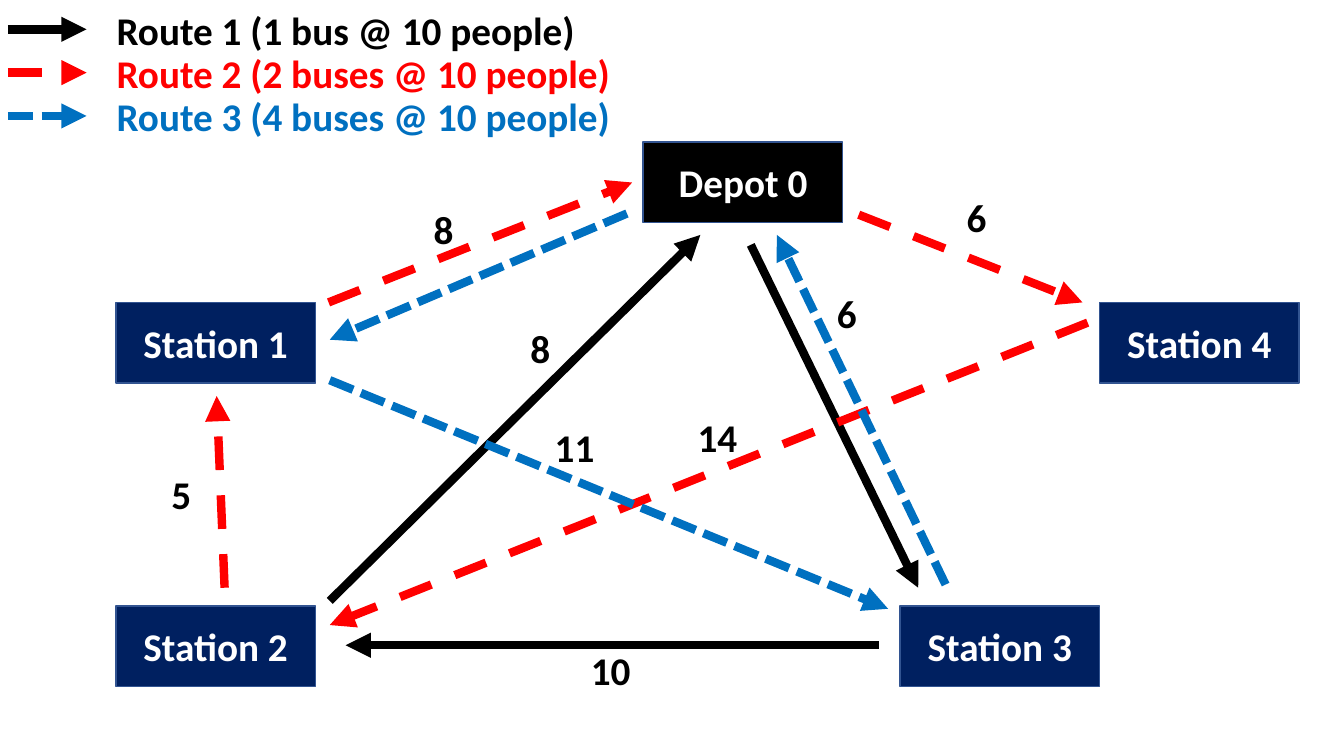
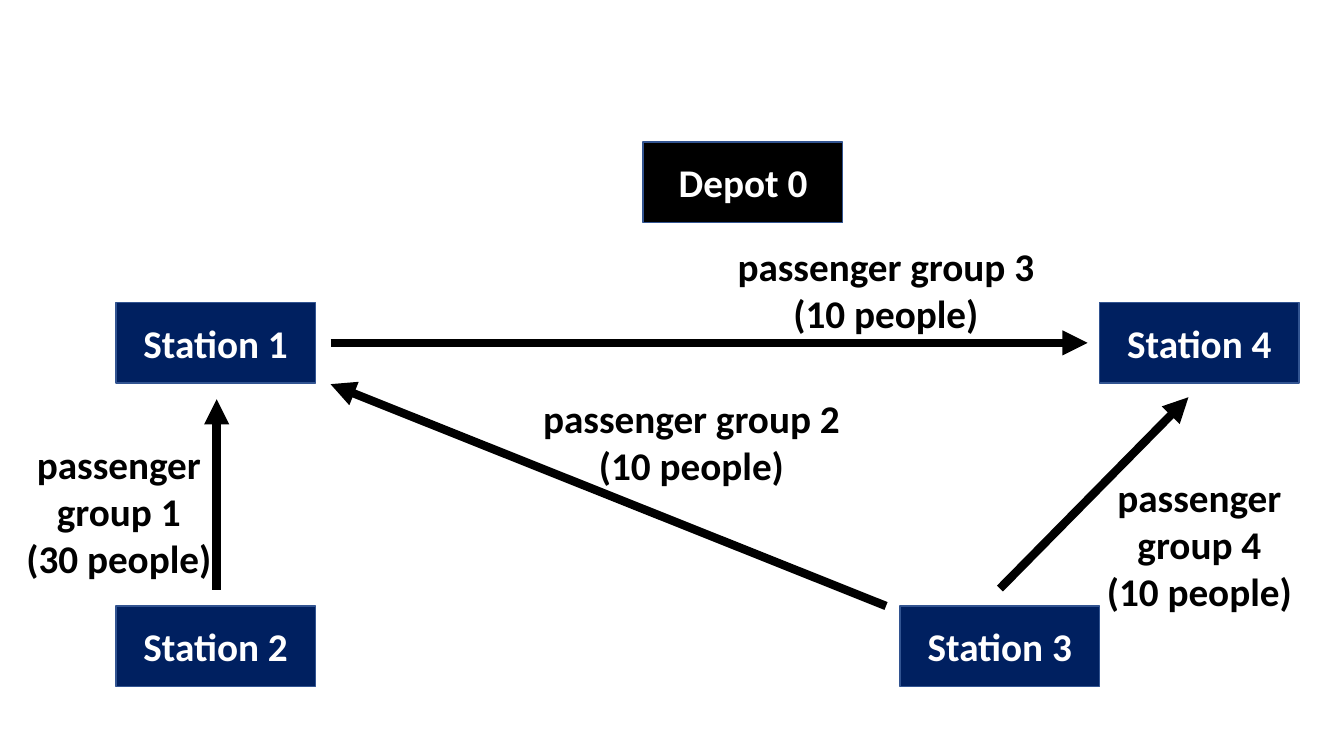
from dataclasses import dataclass
from typing import NamedTuple

from pptx import Presentation
from pptx.dml.color import RGBColor
from pptx.enum.dml import MSO_LINE
from pptx.enum.shapes import MSO_CONNECTOR, MSO_SHAPE
from pptx.enum.text import MSO_ANCHOR, MSO_AUTO_SIZE, PP_ALIGN
from pptx.oxml.ns import qn
from pptx.slide import Slide
from pptx.text.text import TextFrame
from pptx.util import Cm, Pt
from lxml.etree import SubElement


@dataclass(frozen=True)
class Theme:
    black: RGBColor = RGBColor(0x00, 0x00, 0x00)
    white: RGBColor = RGBColor(0xFF, 0xFF, 0xFF)
    red: RGBColor = RGBColor(0xFF, 0x00, 0x00)
    blue: RGBColor = RGBColor(0x00, 0x70, 0xC0)
    navy: RGBColor = RGBColor(0x00, 0x20, 0x60)
    border: RGBColor = RGBColor(0x32, 0x54, 0x91)
    font: str = "Calibri"
    text_size: Pt = Pt(28)
    border_width: Pt = Pt(1)
    arrow_width: Pt = Pt(6)


class Node(NamedTuple):
    name: str
    left: float
    top: float
    fill: RGBColor


class Route(NamedTuple):
    name: str
    color: RGBColor
    dash: MSO_LINE | None = None


class Leg(NamedTuple):
    route: Route
    x1: float
    y1: float
    x2: float
    y2: float


class Label(NamedTuple):
    text: str
    left: float
    top: float
    width: float
    height: float


THEME = Theme()
NODE_WIDTH, NODE_HEIGHT = 5.03, 2.03
LINE_HEIGHT = 1.45
LEGEND_STEP = 1.09

NODES = [
    Node("Station 1", 2.92, 7.62, THEME.navy),
    Node("Station 2", 2.92, 15.27, THEME.navy),
    Node("Depot 0", 16.21, 3.58, THEME.black),
    Node("Station 4", 27.71, 7.62, THEME.navy),
    Node("Station 3", 22.68, 15.27, THEME.navy),
]

ROUTE_1 = Route("Route 1 (1 bus @ 10 people)", THEME.black)
ROUTE_2 = Route("Route 2 (2 buses @ 10 people)", THEME.red, MSO_LINE.DASH)
ROUTE_3 = Route("Route 3 (4 buses @ 10 people)", THEME.blue, MSO_LINE.SQUARE_DOT)
PASSENGERS = Route("Passengers", THEME.black)

BUS_LEGS = [
    Leg(ROUTE_2, 21.64, 5.41, 27.28, 7.62),
    Leg(ROUTE_1, 18.92, 6.17, 23.14, 14.81),
    Leg(ROUTE_3, 15.8, 5.38, 8.31, 8.56),
    Leg(ROUTE_1, 22.15, 16.26, 8.71, 16.26),
    Leg(ROUTE_1, 8.31, 15.14, 17.65, 5.92),
    Leg(ROUTE_2, 27.41, 8.13, 8.31, 15.75),
    Leg(ROUTE_2, 5.66, 14.81, 5.46, 9.98),
    Leg(ROUTE_2, 8.28, 7.62, 15.93, 4.6),
    Leg(ROUTE_3, 8.31, 9.58, 22.38, 15.34),
    Leg(ROUTE_3, 23.83, 14.73, 19.58, 5.92),
]

DISTANCES = [
    Label("8", 10.67, 5.05, 1.02, LINE_HEIGHT),
    Label("5", 4.06, 11.73, 1.02, LINE_HEIGHT),
    Label("6", 24.1, 4.75, 1.02, LINE_HEIGHT),
    Label("8", 13.11, 8.05, 1.02, LINE_HEIGHT),
    Label("10", 14.63, 16.15, 1.52, LINE_HEIGHT),
    Label("14", 17.32, 10.29, 1.52, LINE_HEIGHT),
    Label("6", 20.83, 7.16, 1.02, LINE_HEIGHT),
    Label("11", 13.72, 10.54, 1.52, LINE_HEIGHT),
]

PASSENGER_LEGS = [
    Leg(PASSENGERS, 8.33, 8.64, 27.41, 8.64),
    Leg(PASSENGERS, 25.2, 14.83, 29.95, 10.01),
    Leg(PASSENGERS, 5.46, 14.86, 5.46, 10.06),
    Leg(PASSENGERS, 22.33, 15.27, 8.33, 9.68),
]

PASSENGER_GROUPS = [
    Label("passenger group 3\n(10 people)", 17.88, 5.97, 8.89, 2.64),
    Label("passenger group 2\n(10 people)", 12.98, 9.8, 8.89, 2.64),
    Label("passenger group 4\n(10 people)", 27.23, 11.79, 5.99, 3.84),
    Label("passenger group 1\n(30 people)", 0, 10.97, 5.99, 3.84),
]


def write_text(
    tf: TextFrame,
    text: str,
    *,
    color: RGBColor = THEME.black,
    align: PP_ALIGN = PP_ALIGN.CENTER,
    bold: bool = True,
) -> None:
    for i, line in enumerate(text.split("\n")):
        p = tf.add_paragraph() if i else tf.paragraphs[0]
        p.alignment = align
        r = p.add_run()
        r.text = line
        r.font.name = THEME.font
        r.font.size = THEME.text_size
        r.font.bold = bold
        r.font.color.rgb = color


def add_label(
    s: Slide,
    label: Label,
    *,
    wrap: bool = False,
    color: RGBColor = THEME.black,
    align: PP_ALIGN = PP_ALIGN.CENTER,
) -> None:
    tb = s.shapes.add_textbox(
        Cm(label.left), Cm(label.top), Cm(label.width), Cm(label.height)
    )
    tf = tb.text_frame
    tf.word_wrap = wrap
    tf.auto_size = MSO_AUTO_SIZE.SHAPE_TO_FIT_TEXT
    write_text(tf, label.text, color=color, align=align)


def add_node(s: Slide, node: Node) -> None:
    sp = s.shapes.add_shape(
        MSO_SHAPE.RECTANGLE,
        Cm(node.left), Cm(node.top), Cm(NODE_WIDTH), Cm(NODE_HEIGHT),
    )
    sp.shadow.inherit = False
    sp.fill.solid()
    sp.fill.fore_color.rgb = node.fill
    sp.line.color.rgb = THEME.border
    sp.line.width = THEME.border_width
    sp.text_frame.vertical_anchor = MSO_ANCHOR.MIDDLE
    write_text(sp.text_frame, node.name, color=THEME.white)


def add_arrow(s: Slide, leg: Leg) -> None:
    cx = s.shapes.add_connector(
        MSO_CONNECTOR.STRAIGHT, Cm(leg.x1), Cm(leg.y1), Cm(leg.x2), Cm(leg.y2)
    )
    cx.line.color.rgb = leg.route.color
    cx.line.width = THEME.arrow_width
    if leg.route.dash is not None:
        cx.line.dash_style = leg.route.dash
    SubElement(cx.get_or_add_ln(), qn("a:tailEnd"), type="triangle")
    SubElement(cx.element.spPr, qn("a:effectLst"))


def add_legend(s: Slide, routes: list[Route]) -> None:
    for i, route in enumerate(routes):
        top = 0.03 + i * LEGEND_STEP
        y = top + 0.71
        add_arrow(s, Leg(route, 0.2, y, 2.18, y))
        add_label(
            s,
            Label(route.name, 2.69, top, 13.08 if i else 12.19, LINE_HEIGHT),
            color=route.color,
            align=PP_ALIGN.LEFT,
        )


def add_network(
    prs: Presentation, legs: list[Leg], labels: list[Label], *, wrap: bool
) -> Slide:
    s = prs.slides.add_slide(prs.slide_layouts[6])
    for node in NODES:
        add_node(s, node)
    for leg in legs:
        add_arrow(s, leg)
    for label in labels:
        add_label(s, label, wrap=wrap)
    return s


def main() -> None:
    prs = Presentation()
    prs.slide_width, prs.slide_height = Cm(33.87), Cm(19.05)
    s = add_network(prs, BUS_LEGS, DISTANCES, wrap=False)
    add_legend(s, [ROUTE_1, ROUTE_2, ROUTE_3])
    add_network(prs, PASSENGER_LEGS, PASSENGER_GROUPS, wrap=True)
    prs.save("out.pptx")


if __name__ == "__main__":
    main()
